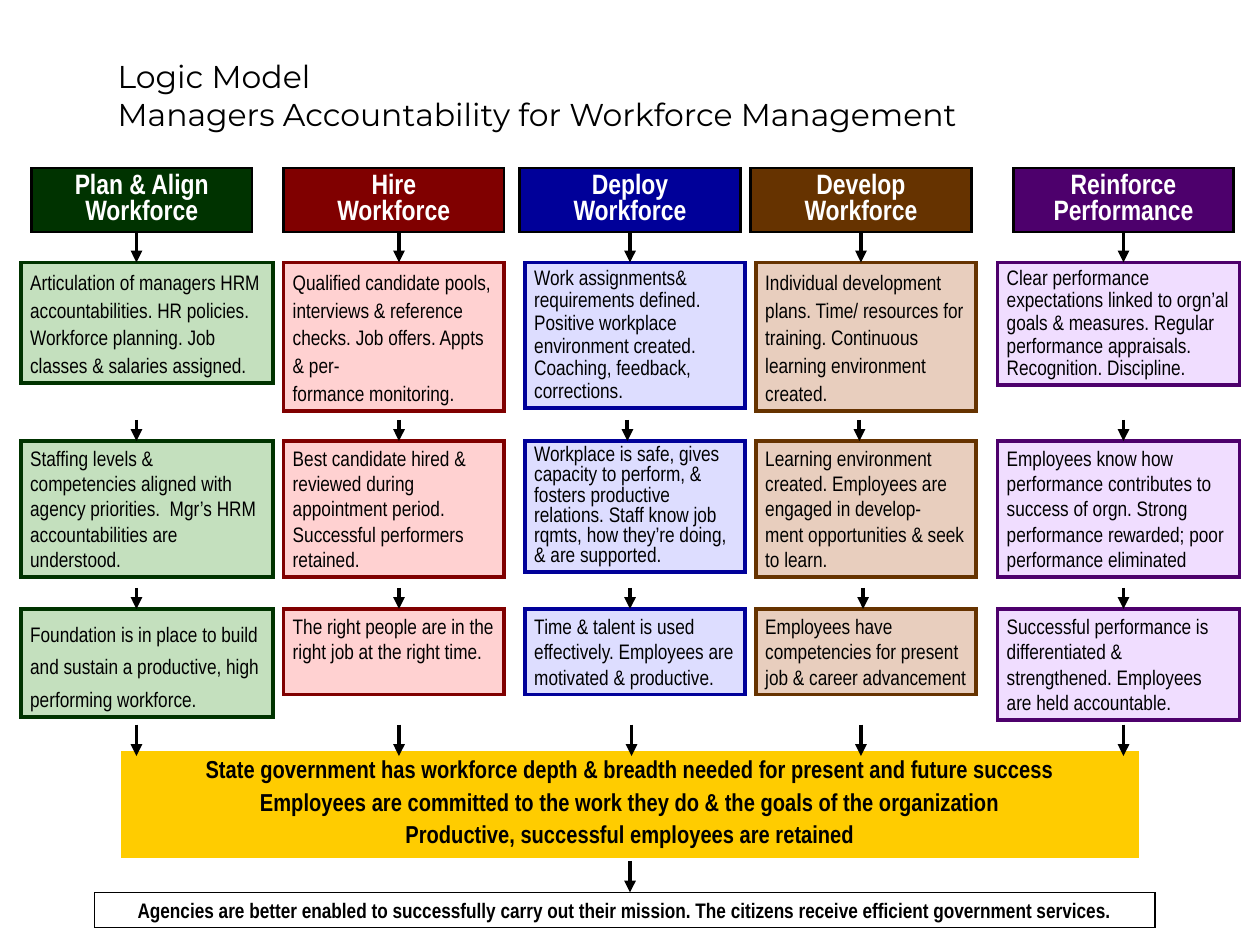
from typing import NamedTuple

from lxml import etree
from pptx import Presentation
from pptx import util as u
from pptx.dml.color import RGBColor
from pptx.enum import shapes, text
from pptx.oxml.ns import qn

# The slide is a grid of 120 columns by 90 rows.
WIDE, HIGH = u.Inches(10), u.Inches(7.5)
COLS, ROWS = 120, 90

BLACK = RGBColor(0x00, 0x00, 0x00)
WHITE = RGBColor(0xFF, 0xFF, 0xFF)
GOLD = RGBColor(0xFF, 0xCC, 0x00)
GREEN, MINT = RGBColor(0x00, 0x33, 0x00), RGBColor(0xC4, 0xE0, 0xBE)
RED, PINK = RGBColor(0x80, 0x00, 0x00), RGBColor(0xFF, 0xD1, 0xD1)
BLUE, SKY = RGBColor(0x00, 0x00, 0x99), RGBColor(0xDD, 0xDD, 0xFF)
BROWN, TAN = RGBColor(0x66, 0x33, 0x00), RGBColor(0xE8, 0xCE, 0xBE)
PLUM, LILAC = RGBColor(0x4D, 0x00, 0x6C), RGBColor(0xF0, 0xDD, 0xFF)

LEFT, MID = text.PP_ALIGN.LEFT, text.PP_ALIGN.CENTER
HEAD_TOP, HEAD_WIDE, HEAD_HIGH = 16, 21, 6.1
PAD_COL, PAD_ROW = 0.88, 0.44
STEP_TOPS = (25, 42, 58)
GAPS = ((22, 25), (40, 42), (56, 58), (69, 72))


class Area(NamedTuple):
    left: float
    top: float
    wide: float
    high: float


class Look(NamedTuple):
    fill: RGBColor
    edge: RGBColor
    line: float
    size: float = 12
    ink: RGBColor = BLACK
    bold: bool = False
    align: text.PP_ALIGN = LEFT


class Step(NamedTuple):
    high: float
    lead: float
    words: str


class Lane(NamedTuple):
    name: str
    head: float
    left: float
    wide: float
    dark: RGBColor
    pale: RGBColor
    steps: tuple[Step, ...]
    flow: tuple[float, ...]


LANES = (
    Lane("Plan & Align Workforce", 3, 2, 24, GREEN, MINT, (
        Step(11.5, 1.1, "Articulation of managers HRM accountabilities. HR policies. "
             "Workforce planning. Job classes & salaries assigned."),
        Step(13, 1, "Staffing levels & competencies aligned with agency priorities.  "
             "Mgr’s HRM accountabilities are understood."),
        Step(10.3, 1.3, "Foundation is in place to build and sustain a productive, "
             "high performing workforce."),
    ), (13, 13, 13, 13)),
    Lane("Hire\nWorkforce", 27, 27, 21, RED, PINK, (
        Step(14.1, 1.1, "Qualified candidate pools, interviews & reference checks. "
             "Job offers. Appts & per-\nformance monitoring."),
        Step(13, 1, "Best candidate hired & reviewed during appointment period. "
             "Successful performers retained."),
        Step(8.15, 1, "The right people are in the right job at the right time."),
    ), (38, 38, 38, 38)),
    Lane("Deploy\nWorkforce", 49.5, 50, 21, BLUE, SKY, (
        Step(13.9, 0.9, "Work assignments& requirements defined. Positive workplace "
             "environment created. Coaching, feedback, corrections."),
        Step(12.45, 0.8, "Workplace is safe, gives capacity to perform, & fosters "
             "productive relations. Staff know job rqmts, how they’re doing, "
             "& are supported."),
        Step(8.15, 1, "Time & talent is used effectively. Employees are motivated "
             "& productive."),
    ), (60, 59.75, 60, 60.15)),
    Lane("Develop Workforce", 71.5, 72, 21, BROWN, TAN, (
        Step(14.1, 1.1, "Individual development plans. Time/ resources for training. "
             "Continuous learning environment created."),
        Step(13, 1, "Learning environment created. Employees are engaged in "
             "develop-\nment opportunities & seek to learn."),
        Step(8.15, 1, "Employees have competencies for present job & career "
             "advancement"),
    ), (82, 81.85, 82.2, 82)),
    Lane("Reinforce Performance", 96.5, 95, 23.05, PLUM, LILAC, (
        Step(11.7, 0.9, "Clear performance expectations linked to orgn’al goals & "
             "measures. Regular performance appraisals. Recognition. Discipline."),
        Step(13, 1, "Employees know how performance contributes to success of orgn. "
             "Strong performance rewarded; poor performance eliminated"),
        Step(10.55, 1, "Successful performance is differentiated & strengthened. "
             "Employees are held accountable."),
    ), (107, 107, 107, 107)),
)
GOALS = (
    "State government has workforce depth & breadth needed for present and future success",
    "Employees are committed to the work they do & the goals of the organization",
    "Productive, successful employees are retained",
)
RESULT = ("Agencies are better enabled to successfully carry out their mission. "
          "The citizens receive efficient government services.")


def across(cols: float) -> int:
    return round(WIDE * cols / COLS)


def down(rows: float) -> int:
    return round(HIGH * rows / ROWS)


def write(para, words: str, face: str, size: float, ink: RGBColor, bold: bool) -> None:
    """Add one run for each line of words, with line breaks between them."""
    for i, part in enumerate(words.split("\n")):
        if i:
            para.add_line_break()
        run = para.add_run()
        run.text = part
        font = run.font
        font.name, font.size, font.bold = face, u.Pt(size), bold
        font.color.rgb = ink


def box(slide, area: Area, look: Look, paras: tuple[str, ...],
        lead: float = 1, gap: float = 0) -> None:
    shape = slide.shapes.add_shape(
        shapes.MSO_SHAPE.RECTANGLE, across(area.left), down(area.top),
        across(area.wide), down(area.high))
    shape.shadow.inherit = False
    shape.fill.solid()
    shape.fill.fore_color.rgb = look.fill
    shape.line.color.rgb = look.edge
    shape.line.width = u.Pt(look.line)
    etree.SubElement(shape.line._get_or_add_ln(), qn("a:miter"), lim="800000")
    frame = shape.text_frame
    frame.word_wrap = True
    frame.vertical_anchor = text.MSO_ANCHOR.TOP
    frame.margin_left = frame.margin_right = across(PAD_COL)
    frame.margin_top = frame.margin_bottom = down(PAD_ROW)
    for i, words in enumerate(paras):
        para = frame.add_paragraph() if i else frame.paragraphs[0]
        para.alignment, para.line_spacing = look.align, lead
        if i:
            para.space_before = u.Pt(gap)
        write(para, words, "Arial Narrow", look.size, look.ink, look.bold)


def arrow(slide, col: float, top: float, end: float) -> None:
    link = slide.shapes.add_connector(
        shapes.MSO_CONNECTOR.STRAIGHT, across(col), down(top), across(col), down(end))
    link.line.color.rgb = BLACK
    link.line.width = u.Pt(2.25)
    etree.SubElement(link.line._get_or_add_ln(), qn("a:tailEnd"), type="triangle")
    etree.SubElement(link._element.spPr, qn("a:effectLst"))


def title(slide) -> None:
    shape = slide.shapes.title
    shape.left, shape.top = across(10), down(3)
    shape.width, shape.height = across(100), down(12)
    frame = shape.text_frame
    frame.vertical_anchor = text.MSO_ANCHOR.MIDDLE
    para = frame.paragraphs[0]
    para.alignment = LEFT
    write(para, "Logic Model\nManagers Accountability for Workforce Management",
          "Montserrat", 18, BLACK, False)


def lane(slide, item: Lane) -> None:
    head = Look(item.dark, BLACK, 1.5, 16, WHITE, True, MID)
    box(slide, Area(item.head, HEAD_TOP, HEAD_WIDE, HEAD_HIGH), head, (item.name,), 0.8)
    for top, step in zip(STEP_TOPS, item.steps):
        box(slide, Area(item.left, top, item.wide, step.high),
            Look(item.pale, item.dark, 2.25), (step.words,), step.lead)


def main() -> None:
    deck = Presentation()
    deck.slide_width, deck.slide_height = WIDE, HIGH
    slide = deck.slides.add_slide(deck.slide_layouts[5])
    title(slide)
    for item in LANES:
        lane(slide, item)
    box(slide, Area(12, 72, 96, 9.2), Look(GOLD, GOLD, 6, 14, BLACK, True, MID),
        GOALS, 0.75, 6.1)
    box(slide, Area(9, 85, 101, 3.35), Look(WHITE, BLACK, 0.75, 12, BLACK, True, MID),
        (RESULT,))
    for item in LANES:
        for col, (top, end) in zip(item.flow, GAPS):
            arrow(slide, col, top, end)
    arrow(slide, 60, 82, 85)
    deck.save("out.pptx")


if __name__ == "__main__":
    main()
